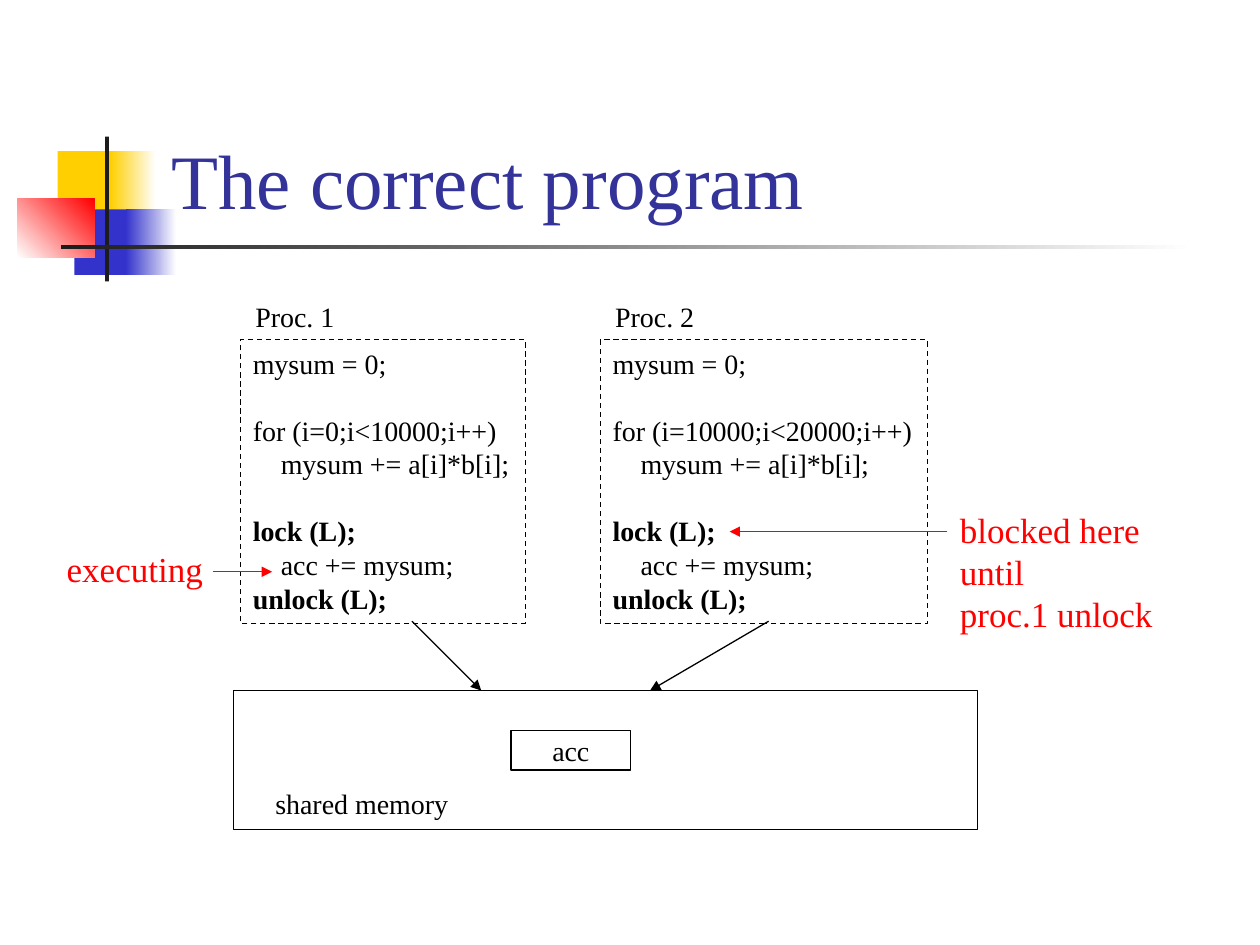
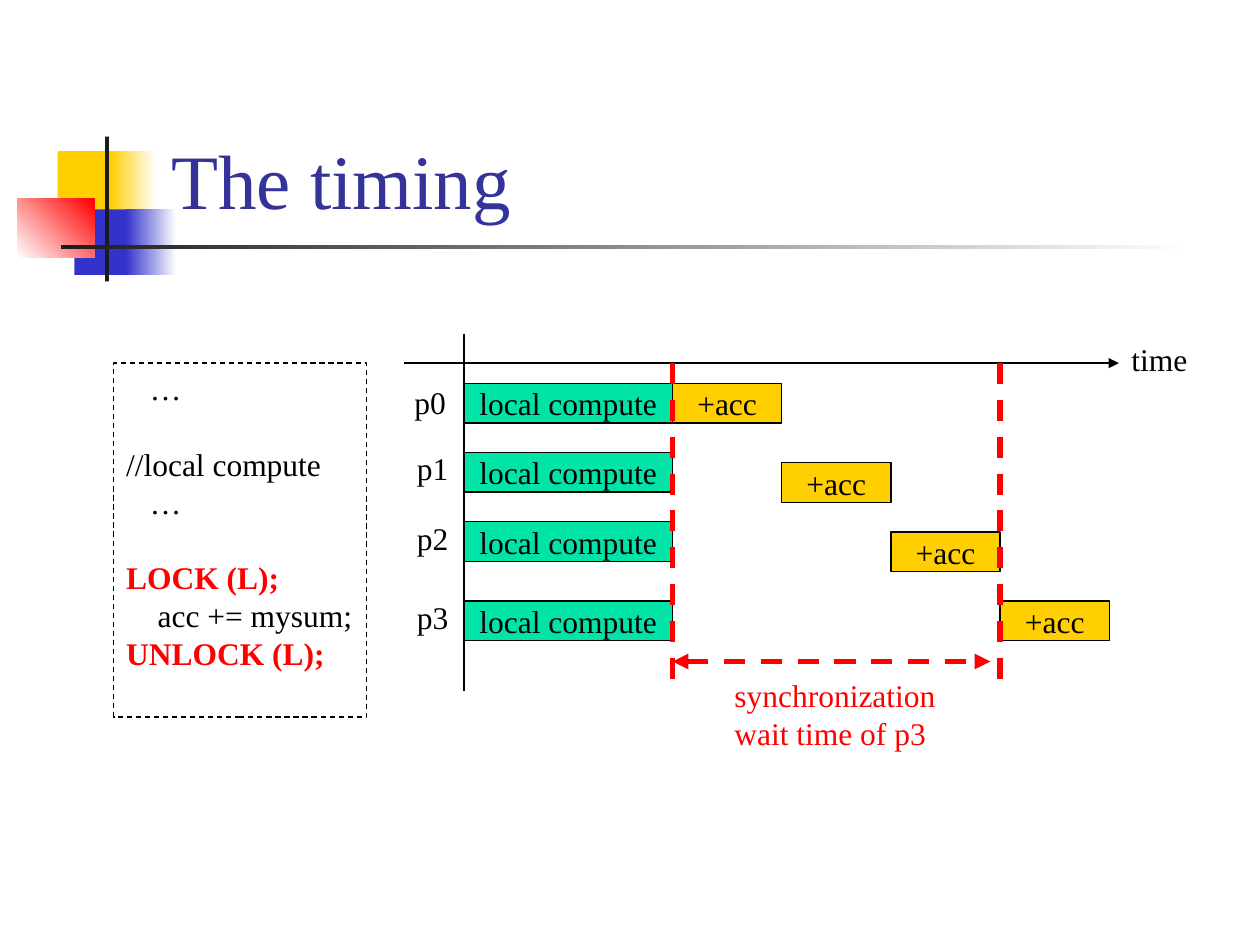
from dataclasses import dataclass
from typing import Optional

from lxml.etree import SubElement
from pptx import Presentation
from pptx.dml.color import RGBColor
from pptx.enum.dml import MSO_LINE
from pptx.enum.shapes import MSO_CONNECTOR, MSO_SHAPE
from pptx.enum.text import MSO_ANCHOR as ANCHOR, PP_ALIGN as ALIGN
from pptx.oxml.ns import qn
from pptx.util import Pt

FONT = "Times New Roman"
BLACK = RGBColor(0x00, 0x00, 0x00)
WHITE = RGBColor(0xFF, 0xFF, 0xFF)
RED = RGBColor(0xFF, 0x00, 0x00)
YELLOW = RGBColor(0xFF, 0xCF, 0x01)
BLUE = RGBColor(0x33, 0x33, 0xCC)
DARK = RGBColor(0x1C, 0x1C, 0x1C)
GREEN = RGBColor(0x00, 0xE4, 0xA8)
TITLE_BLUE = RGBColor(0x33, 0x33, 0x99)
LEADING = 1.2


@dataclass(frozen=True)
class Box:
    x: float
    y: float
    w: float
    h: float


@dataclass(frozen=True)
class Line:
    text: str
    bold: bool = False
    color: RGBColor = BLACK
    indent: float = 0
    gap: bool = False


@dataclass(frozen=True)
class Band:
    box: Box
    start: RGBColor
    end: Optional[RGBColor] = None
    angle: float = 0


@dataclass(frozen=True)
class Process:
    name: str
    x: float
    w: float
    loop: str


@dataclass(frozen=True)
class Row:
    name: str
    label_y: float
    compute_y: float
    acc_y: float


BANDS = [
    Band(Box(33, 86.4, 34.5, 37.4), YELLOW),
    Band(Box(63, 86.4, 26, 37.4), YELLOW, WHITE),
    Band(Box(42.5, 119.7, 33, 37.4), BLUE),
    Band(Box(72, 119.7, 28.8, 37.4), BLUE, WHITE),
    Band(Box(10, 113.7, 44, 33.5), WHITE, RED, 45),
    Band(Box(60, 78, 2.3, 82.8), DARK),
    Band(Box(34.7, 140, 648, 2.5), DARK, WHITE),
]
PROCESSES = [
    Process("Proc. 1", 137.4, 162.8, "for (i=0;i<10000;i++)"),
    Process("Proc. 2", 343, 187.2, "for (i=10000;i<20000;i++)"),
]
ROWS = [
    Row("p0", 215.3, 219, 219),
    Row("p1", 253, 258.5, 264.3),
    Row("p2", 293, 298, 304),
    Row("p3", 338.4, 343.5, 343.5),
]


def write(sp, lines: list[Line], size: float, centred: bool = False) -> None:
    tf = sp.text_frame
    tf.word_wrap = True
    tf.margin_left = Pt(0 if centred else 7.2)
    tf.margin_right = Pt(0)
    tf.margin_top = tf.margin_bottom = Pt(3.6)
    tf.vertical_anchor = ANCHOR.MIDDLE if centred else ANCHOR.TOP
    tf.text = "\n".join(line.text for line in lines)
    for p, line in zip(tf.paragraphs, lines):
        p.alignment = ALIGN.CENTER if centred else ALIGN.LEFT
        p.line_spacing = Pt(size * LEADING)
        p.space_before = Pt(size * LEADING if line.gap else 0)
        if line.indent:
            p._p.get_or_add_pPr().set("marL", str(Pt(line.indent)))
        for r in p.runs:
            r.font.name = FONT
            r.font.size = Pt(size)
            r.font.bold = line.bold
            r.font.color.rgb = line.color


def add_text(slide, box: Box, lines: list[Line], size: float):
    sp = slide.shapes.add_textbox(Pt(box.x), Pt(box.y), Pt(box.w), Pt(box.h))
    write(sp, lines, size)
    return sp


def add_rect(slide, box: Box, fill: Optional[RGBColor] = None,
             outlined: bool = True, dashed: bool = False):
    sp = slide.shapes.add_shape(MSO_SHAPE.RECTANGLE, Pt(box.x), Pt(box.y),
                                Pt(box.w), Pt(box.h))
    sp.shadow.inherit = False
    if fill is None:
        sp.fill.background()
    else:
        sp.fill.solid()
        sp.fill.fore_color.rgb = fill
    if outlined:
        sp.line.color.rgb = BLACK
        sp.line.width = Pt(0.75)
    else:
        sp.line.fill.background()
    if dashed:
        sp.line.dash_style = MSO_LINE.DASH
    return sp


def add_line(slide, x1: float, y1: float, x2: float, y2: float,
             color: RGBColor = BLACK, width: float = 0.75,
             dashed: bool = False, ends: tuple[str, ...] = ()) -> None:
    cx = slide.shapes.add_connector(MSO_CONNECTOR.STRAIGHT,
                                    Pt(x1), Pt(y1), Pt(x2), Pt(y2))
    cx.line.color.rgb = color
    cx.line.width = Pt(width)
    if dashed:
        cx.line.dash_style = MSO_LINE.DASH
    ln = cx.line._get_or_add_ln()
    for end in ends:
        SubElement(ln, qn(f"a:{end}"), type="triangle")
    SubElement(cx._element.spPr, qn("a:effectLst"))


def add_slide(prs, title: str):
    slide = prs.slides.add_slide(prs.slide_layouts[6])
    for band in BANDS:
        sp = add_rect(slide, band.box, band.start, outlined=False)
        if band.end is not None:
            sp.fill.gradient()
            sp.fill.gradient_angle = band.angle
            for stop, color in zip(sp.fill.gradient_stops, (band.start, band.end)):
                stop.color.rgb = color
    sp = add_text(slide, Box(90.7, 16.6, 613.4, 115.2),
                  [Line(title, color=TITLE_BLUE)], 44)
    sp.text_frame.vertical_anchor = ANCHOR.BOTTOM
    sp.text_frame.paragraphs[0].line_spacing = 1.0
    return slide


def add_program_slide(prs) -> None:
    slide = add_slide(prs, "The correct program")
    for proc in PROCESSES:
        code = [
            Line("mysum = 0;"),
            Line(proc.loop, gap=True),
            Line("mysum += a[i]*b[i];", indent=16),
            Line("lock (L);", bold=True, gap=True),
            Line("acc += mysum;", indent=16),
            Line("unlock (L);", bold=True),
        ]
        sp = add_rect(slide, Box(proc.x, 194.2, proc.w, 162), dashed=True)
        write(sp, code, 16)
        add_text(slide, Box(proc.x + 1.4, 167.8, 60, 26.6), [Line(proc.name)], 16)

    add_rect(slide, Box(133.4, 394.6, 425.2, 79.4))
    add_text(slide, Box(150.2, 445.7, 113.8, 26.6), [Line("shared memory")], 16)
    write(add_rect(slide, Box(292, 417.4, 68.4, 22.6)), [Line("acc")], 16, centred=True)
    add_line(slide, 235.4, 355, 275, 394.6, ends=("tailEnd",))
    add_line(slide, 439.2, 355, 371.5, 394.6, ends=("tailEnd",))

    add_text(slide, Box(31, 309.6, 92.2, 31), [Line("executing", color=RED)], 20)
    add_line(slide, 121.7, 326.7, 155.5, 326.7, RED, ends=("tailEnd",))
    blocked = [Line("blocked here until", color=RED), Line("proc.1 unlock", color=RED)]
    add_text(slide, Box(541.4, 287.3, 140, 79.2), blocked, 20)
    add_line(slide, 541.4, 303.8, 416.9, 303.8, RED, ends=("tailEnd",))


def add_timing_slide(prs) -> None:
    slide = add_slide(prs, "The timing")
    code = [
        Line("…", indent=13.5),
        Line("//local compute", gap=True),
        Line("…", indent=13.5),
        Line("LOCK (L);", bold=True, color=RED, gap=True),
        Line("acc += mysum;", indent=18),
        Line("UNLOCK (L);", bold=True, color=RED),
    ]
    write(add_rect(slide, Box(65, 207.5, 144.6, 202.3), dashed=True), code, 18)

    axis_x, axis_y = 265.1, 207.5
    compute_w, acc_w, bar_h = 119.2, 62.4, 22.7
    wait_start = axis_x + compute_w
    wait_end = wait_start + 3 * acc_w
    for i, row in enumerate(ROWS):
        sp = add_rect(slide, Box(axis_x, row.compute_y, compute_w, bar_h), GREEN)
        write(sp, [Line("local compute")], 18, centred=True)
        sp = add_rect(slide, Box(wait_start + i * acc_w, row.acc_y, acc_w, bar_h), YELLOW)
        write(sp, [Line("+acc")], 18, centred=True)
        label_x = 229.7 if i == 0 else 231.1
        add_text(slide, Box(label_x, row.label_y, 32.4, 28.8), [Line(row.name)], 18)

    add_line(slide, axis_x, 190.8, axis_x, 394.6)
    add_line(slide, 231.1, axis_y, 639.4, axis_y, ends=("tailEnd",))
    add_text(slide, Box(639.4, 190.8, 46.8, 28.8), [Line("time")], 18)
    add_line(slide, wait_start, axis_y, wait_start, 388.8, RED, 3, True)
    add_line(slide, wait_end, axis_y, wait_end, 388.8, RED, 3, True)
    add_line(slide, wait_start, 378, 566, 378, RED, 3, True, ("headEnd", "tailEnd"))
    wait = [Line("synchronization", color=RED), Line("wait time of p3", color=RED)]
    add_text(slide, Box(412.6, 383, 129.6, 50.4), wait, 18)


prs = Presentation()
prs.slide_width, prs.slide_height = Pt(720), Pt(540)
add_program_slide(prs)
add_timing_slide(prs)
prs.save("out.pptx")
